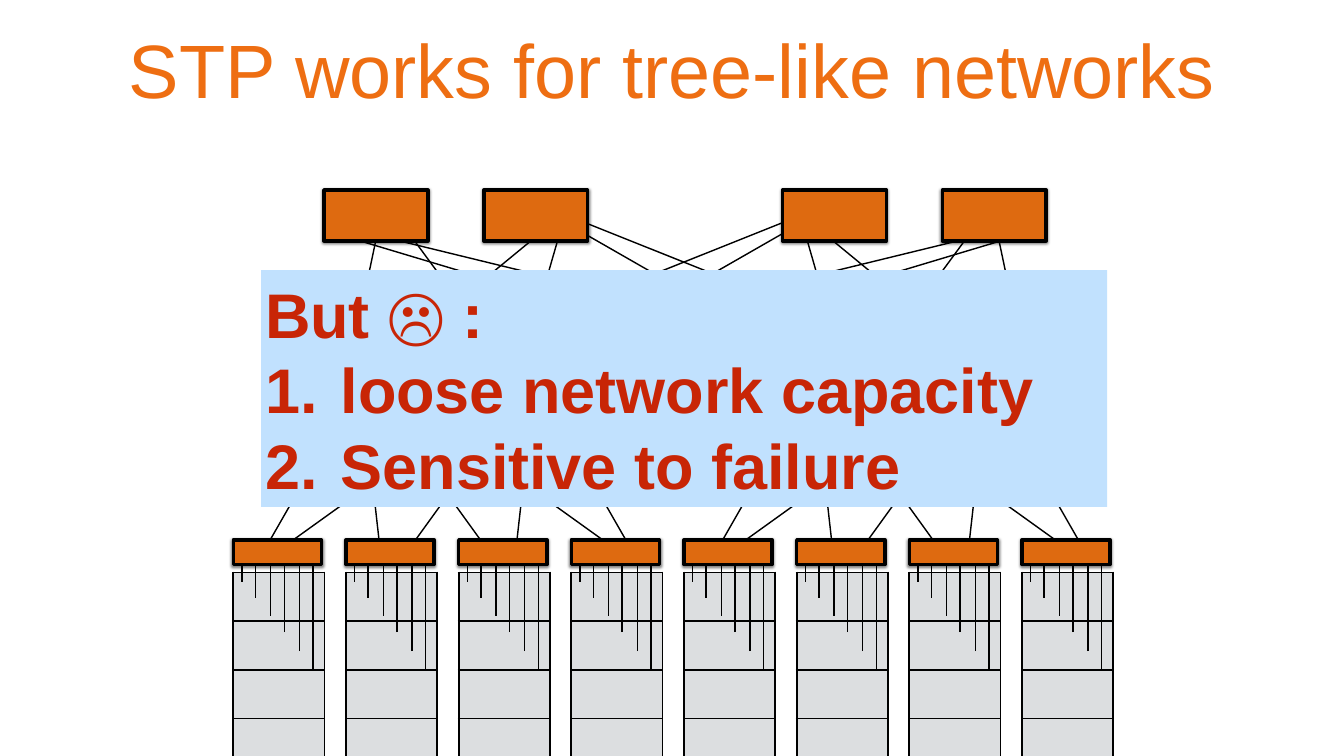
import pptx
import pptx.util
import pptx.dml.color
import pptx.enum.shapes
import pptx.enum.text
import pptx.oxml
import pptx.oxml.ns
from lxml import etree

Inches = pptx.util.Inches
Pt = pptx.util.Pt
qn = pptx.oxml.ns.qn

COLORS = {
    "title": "EE6E12",
    "switch": "DE6A10",
    "server": "DCDEE0",
    "line": "000000",
    "note": "C1E1FE",
    "note_text": "C82506",
}
SWITCH_X = (6.43, 9.6, 15.53, 18.7)
SWITCH_W, SWITCH_H = 2.06, 1.01
CORE_Y, AGGREGATION_Y = 3.77, 6.99
RACK_X, RACK_Y, RACK_W, RACK_COUNT = 4.63, 10.71, 1.81, 8
RACK_PITCH = (20.28 - RACK_X) / (RACK_COUNT - 1)
POD_PITCH = 8.98
CABLES = ((0.17, 0.83), (0.44, 1.15), (0.74, 1.51),
          (1.01, 1.83), (1.31, 2.21), (1.58, 2.59))
OUTER_CORE_LINKS = (
    (19.76, 4.47, 20.37, 7.37), (7.15, 4.59, 19.03, 7.49),
    (19.33, 4.52, 17.08, 7.58), (7.11, 4.77, 16.22, 7.5),
)
INNER_CORE_LINKS = (
    (15.66, 4.56, 10.67, 7.42), (15.65, 4.37, 7.54, 7.61),
    (15.9, 4.36, 16.79, 7.45), (16.3, 4.59, 19.74, 7.42),
)
POD_LINKS = (
    (10.43, 7.69, 8.19, 10.79), (10.03, 7.69, 5.67, 10.82),
    (10.62, 7.5, 10.25, 10.79), (10.67, 7.66, 12.44, 10.75),
)


def rgb(name):
    """Return the named colour."""
    return pptx.dml.color.RGBColor.from_string(COLORS[name])


def add_link(s, x1, y1, x2, y2):
    """Draw one thin network link."""
    c = s.shapes.add_connector(
        pptx.enum.shapes.MSO_CONNECTOR.STRAIGHT,
        Inches(x1), Inches(y1), Inches(x2), Inches(y2))
    c.line.color.rgb = rgb("line")
    c.line.width = Pt(2)
    etree.SubElement(c._element.spPr, qn("a:effectLst"))


def add_mirrored_links(s, links, total_x, dy=0, dx=0):
    """Draw links and their reflections, whose x values sum to total_x."""
    for x1, y1, x2, y2 in links:
        add_link(s, x1 + dx, y1, x2 + dx, y2)
        add_link(s, total_x - x1 + dx, y1 + dy, total_x - x2 + dx, y2 + dy)


def add_rect(s, x, y, w, h, fill):
    """Add a plain filled rectangle."""
    sp = s.shapes.add_shape(
        pptx.enum.shapes.MSO_SHAPE.RECTANGLE,
        Inches(x), Inches(y), Inches(w), Inches(h))
    sp.shadow.inherit = False
    sp.fill.solid()
    sp.fill.fore_color.rgb = rgb(fill)
    sp.line.fill.background()
    return sp


def add_switch(s, x, y, w, h):
    """Add an outlined switch with a soft shadow."""
    sp = add_rect(s, x, y, w, h, "switch")
    sp.line.color.rgb = rgb("line")
    sp.line.width = Pt(5)
    effects = sp._element.spPr.find(qn("a:effectLst"))
    shadow = etree.SubElement(
        effects, qn("a:outerShdw"), blurRad=str(Pt(4)), dist=str(Pt(2)),
        dir="5400000", rotWithShape="0")
    color = etree.SubElement(shadow, qn("a:srgbClr"), val=COLORS["line"])
    etree.SubElement(color, qn("a:alpha"), val="50000")


def add_switch_row(s, y):
    """Add one layer of four switches."""
    for x in SWITCH_X:
        add_switch(s, x, y, SWITCH_W, SWITCH_H)


def style_server(cell):
    """Fill and outline one server cell."""
    cell.margin_top = cell.margin_bottom = Inches(0.33)
    tc_pr = cell._tc.get_or_add_tcPr()
    for side in ("a:lnL", "a:lnR", "a:lnT", "a:lnB"):
        ln = etree.SubElement(tc_pr, qn(side), w=str(Pt(3)))
        fill = etree.SubElement(ln, qn("a:solidFill"))
        etree.SubElement(fill, qn("a:srgbClr"), val=COLORS["line"])
    cell.fill.solid()
    cell.fill.fore_color.rgb = rgb("server")


def add_rack(s, x, y, w):
    """Add a rack of servers cabled to its top switch."""
    rows = 6
    table = s.shapes.add_table(
        rows, 1, Inches(x), Inches(y + 0.65), Inches(w), Inches(rows * 0.35)).table
    for cell in table.iter_cells():
        style_server(cell)
    for dx, dy in CABLES:
        add_link(s, x + dx, y + dy, x + dx, y + 0.28)
    add_switch(s, x, y, w - 0.06, 0.49)


def set_text(sp, lines, size, color, align, bold=False):
    """Write equally formatted paragraphs into a shape."""
    tf = sp.text_frame
    tf.word_wrap = True
    tf.vertical_anchor = pptx.enum.text.MSO_ANCHOR.MIDDLE
    tf.margin_left = tf.margin_right = Inches(0.08)
    tf.margin_top = tf.margin_bottom = Inches(0.08)
    tf.text = "\n".join(lines)
    for p in tf.paragraphs:
        p.alignment = align
        for r in p.runs:
            r.font.name = "Arial"
            r.font.size = Pt(size)
            r.font.bold = bold
            r.font.color.rgb = rgb(color)
    return tf


def add_title(s, x, y, w, h):
    """Add the slide title."""
    sp = s.shapes.add_textbox(Inches(x), Inches(y), Inches(w), Inches(h))
    set_text(sp, ["STP works for tree-like networks"], 108, "title",
             pptx.enum.text.PP_ALIGN.CENTER)


def add_note(s, x, y, w, h):
    """Add the panel with the numbered drawbacks."""
    sp = add_rect(s, x, y, w, h, "note")
    lines = ["But ☹ :", "loose network capacity", "Sensitive to failure"]
    tf = set_text(sp, lines, 90, "note_text",
                  pptx.enum.text.PP_ALIGN.LEFT, bold=True)
    for p in tf.paragraphs[1:]:
        p_pr = p._p.get_or_add_pPr()
        p_pr.set("marL", str(Inches(1.5)))
        p_pr.set("indent", str(-Inches(1.5)))
        etree.SubElement(p_pr, qn("a:buAutoNum"), type="arabicPeriod")


def main():
    """Build the slide."""
    prs = pptx.Presentation()
    prs.slide_width, prs.slide_height = Inches(26.67), Inches(15)
    s = prs.slides.add_slide(prs.slide_layouts[6])
    add_mirrored_links(s, OUTER_CORE_LINKS, 27.3, dy=-0.09)
    add_mirrored_links(s, INNER_CORE_LINKS, 27.09, dy=-0.02)
    for pod in range(2):
        add_mirrored_links(s, POD_LINKS, 17.78, dx=pod * POD_PITCH)
    add_switch_row(s, AGGREGATION_Y)
    for i in range(RACK_COUNT):
        add_rack(s, RACK_X + i * RACK_PITCH, RACK_Y, RACK_W)
    add_switch_row(s, CORE_Y)
    add_title(s, 1.81, -0.01, 23.05, 2.71)
    add_note(s, 5.18, 5.36, 16.79, 4.7)
    prs.save("out.pptx")


if __name__ == "__main__":
    main()
